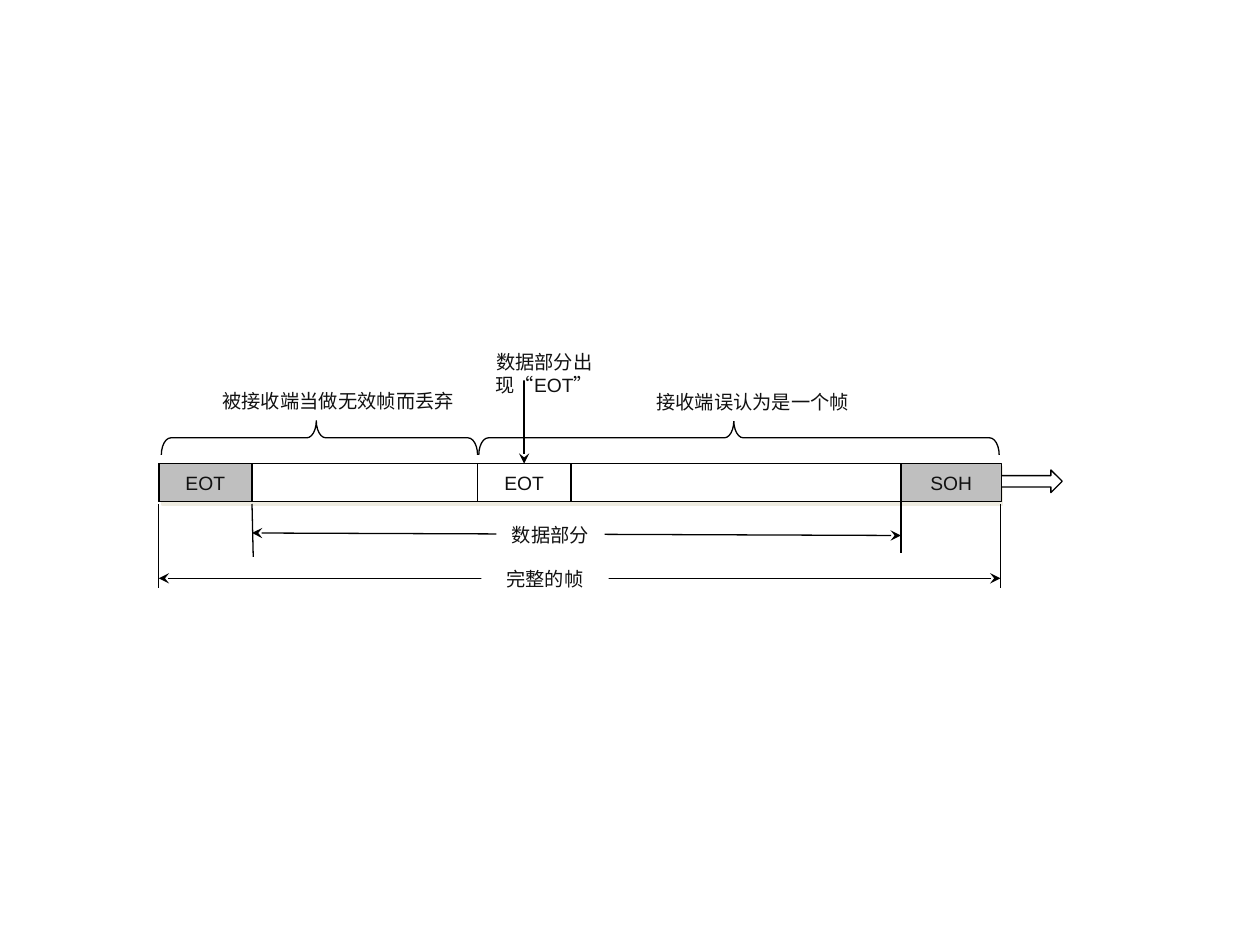
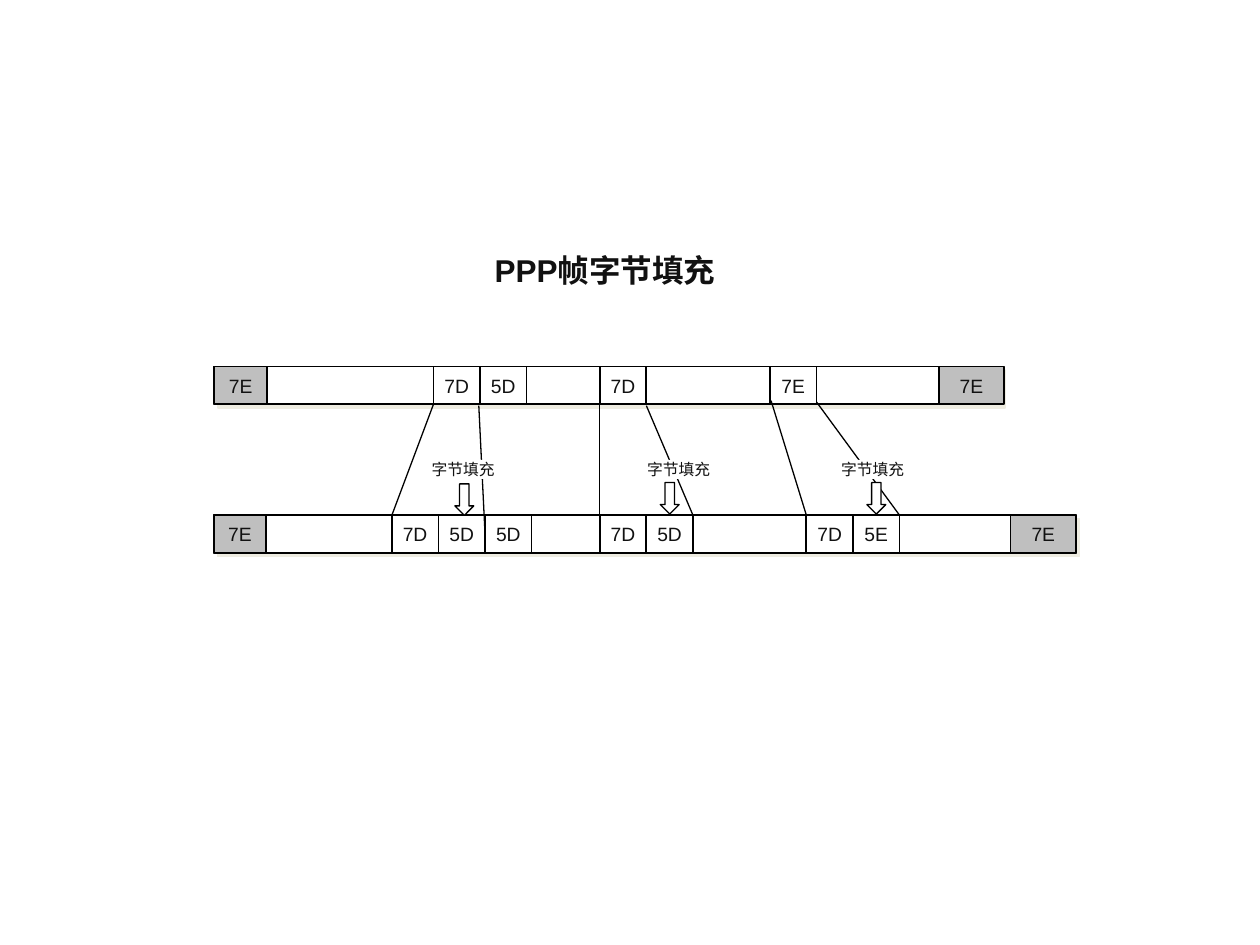
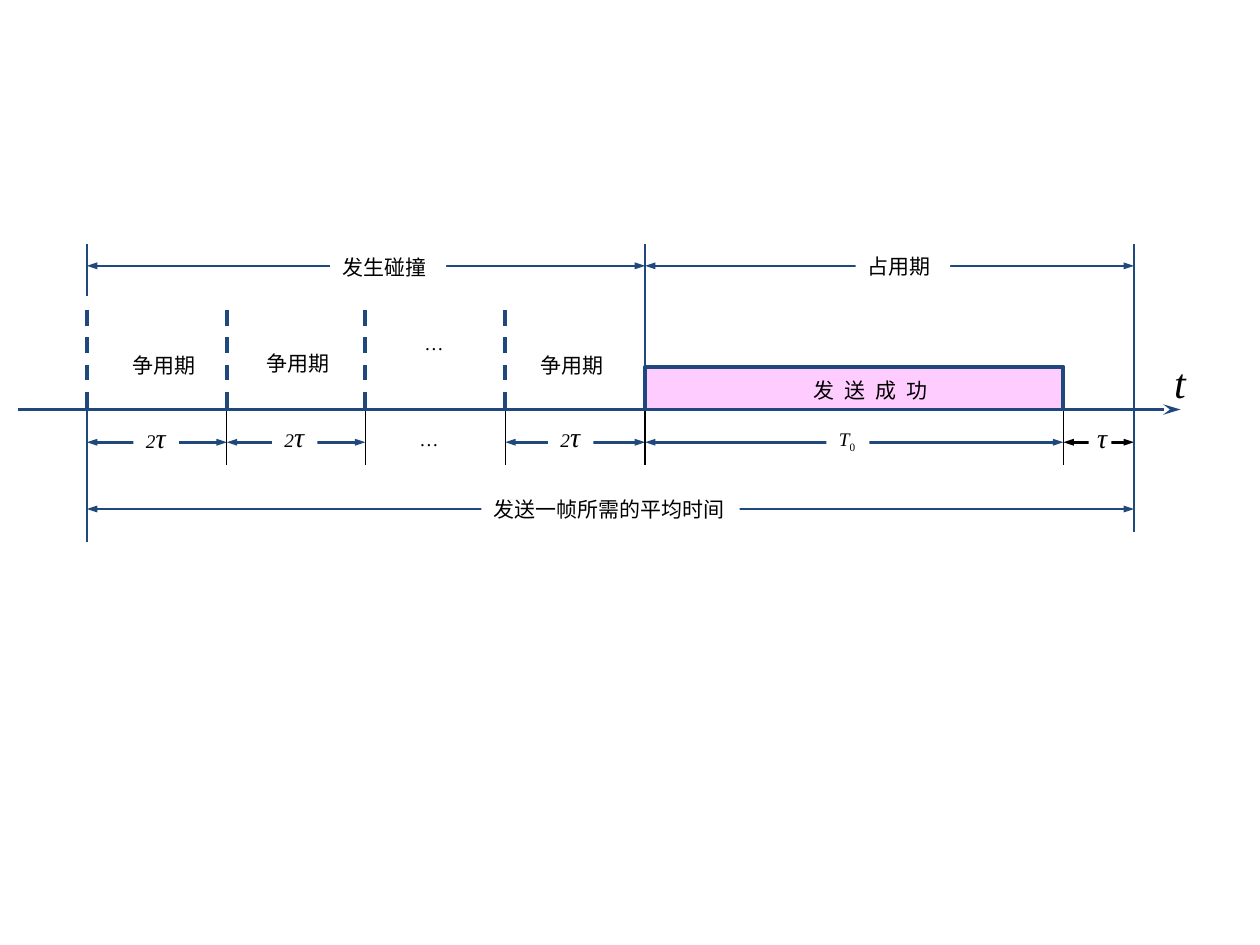
"""Build three diagrams: frame delimiting, PPP byte stuffing and the CSMA/CD channel timeline."""
from lxml import etree
from pptx import Presentation
from pptx.dml.color import RGBColor
from pptx.enum.dml import MSO_LINE
from pptx.enum.shapes import MSO_CONNECTOR, MSO_SHAPE
from pptx.enum.text import MSO_ANCHOR, MSO_AUTO_SIZE, PP_ALIGN
from pptx.oxml.ns import qn
from pptx.util import Inches, Pt

RECT = MSO_SHAPE.RECTANGLE
ARROW = MSO_SHAPE.RIGHT_ARROW
BRACE = MSO_SHAPE.LEFT_BRACE
STRAIGHT = MSO_CONNECTOR.STRAIGHT
DASH = MSO_LINE.DASH
TOP, MIDDLE = MSO_ANCHOR.TOP, MSO_ANCHOR.MIDDLE
LEFT, CENTER = PP_ALIGN.LEFT, PP_ALIGN.CENTER
GROW, FIXED = MSO_AUTO_SIZE.SHAPE_TO_FIT_TEXT, MSO_AUTO_SIZE.NONE

COLORS = {"white": "FFFFFF", "black": "000000", "ink": "111111", "flag": "BFBFBF",
          "shade": "EEECE1", "navy": "1F497D", "pink": "FFCCFF"}
SANS, SERIF = "Arial", "Times New Roman"
CELL_H = 0.3


def add_box(slide, at, text="", kind=RECT, fill="white", width=0, size=11, font=SANS, ink="ink",
            anchor=TOP, align=CENTER, wrap=True, shade=False, rotation=0):
    """Add a shape, a frame cell or a label."""
    box = slide.shapes.add_shape(kind, *[Inches(length) for length in at])
    box.shadow.inherit = False
    box.rotation = rotation
    if fill:
        box.fill.solid()
        box.fill.fore_color.rgb = RGBColor.from_string(COLORS[fill])
    else:
        box.fill.background()
    if width:
        box.line.color.rgb = RGBColor.from_string(COLORS["black"])
        box.line.width = Pt(width)
    else:
        box.line.fill.background()
    if shade:
        effects = box._element.spPr.find(qn("a:effectLst"))
        outer = etree.SubElement(effects, qn("a:outerShdw"), dist="35921", dir="2700000", algn="ctr",
                                 rotWithShape="0")
        etree.SubElement(outer, qn("a:srgbClr"), val=COLORS["shade"])
    if text:
        frame = box.text_frame
        frame.word_wrap = wrap
        frame.vertical_anchor = anchor
        frame.auto_size = GROW if anchor == TOP else FIXED
        paragraph = frame.paragraphs[0]
        paragraph.add_run().text = text
        paragraph.alignment = align
        paragraph.font.size = Pt(size)
        paragraph.font.name = font
        paragraph.font.color.rgb = RGBColor.from_string(COLORS[ink])
    return box


def add_line(slide, x1, y1, x2, y2, color="black", width=0.75, head=None, tail=None, w="med", length="med"):
    """Add a straight line with optional arrowheads."""
    line = slide.shapes.add_connector(STRAIGHT, Inches(x1), Inches(y1), Inches(x2), Inches(y2))
    line.line.color.rgb = RGBColor.from_string(COLORS[color])
    line.line.width = Pt(width)
    for end, style in (("a:headEnd", head), ("a:tailEnd", tail)):
        if style:
            etree.SubElement(line.line._get_or_add_ln(), qn(end), type=style, w=w, len=length)
    etree.SubElement(line._element.spPr, qn("a:effectLst"))
    return line


prs = Presentation()
prs.slide_width, prs.slide_height = Inches(10), Inches(7.5)
blank = prs.slide_layouts[6]
cell = dict(width=1, anchor=MIDDLE, wrap=False)

delimiting = prs.slides.add_slide(blank)
frame_top, frame_left, frame_right, data_left, data_right = 3.68, 1.26, 7.94, 2, 7.15
add_box(delimiting, (frame_left, frame_top, 6.67, CELL_H), width=1, shade=True)
for x1, y1, x2, y2 in ((data_right, 3.98, data_right, 4.39), (data_left, 4, 2.01, 4.42),
                       (frame_left, 4, frame_left, 4.67), (frame_right, 4, frame_right, 4.67)):
    add_line(delimiting, x1, y1, x2, y2)
add_line(delimiting, data_left, 4.23, data_right, 4.25, head="stealth", tail="stealth")
add_line(delimiting, frame_left, 4.59, frame_right, 4.59, head="stealth", tail="stealth")
add_box(delimiting, (frame_right, 3.73, 0.49, 0.18), kind=ARROW, width=0.75)
add_box(delimiting, (data_right, frame_top, 0.8, CELL_H), "SOH", fill="flag", **cell)
add_box(delimiting, (frame_left, frame_top, 0.74, CELL_H), "EOT", fill="flag", **cell)
inner_eot = add_box(delimiting, (3.79, frame_top, 0.74, CELL_H), "EOT", fill=None, **cell)
for at in ((5.73, 1.41, 0.27, 4.13), (2.4, 2.22, 0.27, 2.51)):
    brace = add_box(delimiting, at, kind=BRACE, fill=None, width=0.75, rotation=90)
    brace.adjustments[0], brace.adjustments[1] = 0.28, 0.51
for left, top, label_width, text in ((3.94, 4.1, 0.86, "数据部分"), (3.82, 4.45, 1.01, "完整的帧"),
                                     (5.04, 3.05, 1.87, "接收端误认为是一个帧"),
                                     (1.59, 3.04, 2.19, "被接收端当做无效帧而丢弃")):
    add_box(delimiting, (left, top, label_width, 0.29), text)
eot_pointer = add_line(delimiting, 4.16, 2.94, 4.16, frame_top, tail="stealth")
eot_pointer.end_connect(inner_eot, 0)
eot_note = add_box(delimiting, (3.42, 2.73, 1.8, 0.29), "数据部分出现“EOT”").text_frame
eot_note.auto_size = FIXED
eot_note.margin_left = eot_note.margin_right = Inches(0.46)

stuffing = prs.slides.add_slide(blank)
title = add_box(stuffing, (3.66, 1.94, 2.28, 0.4), "PPP帧字节填充", size=18)
title.text_frame.paragraphs[0].font.bold = True
byte_w = 0.37
frames = (
    (2.91, 6.25, ((7.45, 0.52, "7E"), (1.7, 0.42, "7E")),
     ((3.44, "7D"), (3.81, "5D"), (4.76, "7D"), (6.11, "7E"))),
    (4.09, 6.84, ((8.02, 0.52, "7E"), (1.7, 0.41, "7E")),
     ((3.11, "7D"), (3.48, "5D"), (3.85, "5D"), (4.76, "7D"), (5.13, "5D"), (6.4, "7D"), (6.77, "5E"))),
)
for top, frame_w, flags, data_bytes in frames:
    add_box(stuffing, (1.7, top, frame_w, CELL_H), width=1, shade=True)
    for left, flag_w, text in flags:
        add_box(stuffing, (left, top, flag_w, CELL_H), text, fill="flag", **cell)
    for left, text in data_bytes:
        add_box(stuffing, (left, top, byte_w, CELL_H), text, fill=None, **cell)
for x1, y1, x2, y2 in ((3.44, 3.21, 3.11, 4.09), (3.8, 3.22, 3.85, 4.25), (4.76, 3.21, 4.76, 4.08),
                       (5.13, 3.22, 5.5, 4.09), (6.12, 3.18, 6.4, 4.09), (6.48, 3.19, 7.14, 4.09)):
    add_line(stuffing, x1, y1, x2, y2)
for arrow_left, arrow_top, label_left in ((3.56, 3.89, 3.37), (5.19, 3.88, 5.08), (6.83, 3.88, 6.62)):
    add_box(stuffing, (arrow_left, arrow_top, 0.25, 0.15), kind=ARROW, width=0.75, rotation=90)
    label = add_box(stuffing, (label_left, 3.65, 0.61, 0.15), "字节填充", size=9).text_frame
    label.margin_left = label.margin_right = label.margin_top = label.margin_bottom = 0

timeline = prs.slides.add_slide(blank)
start, busy, sent, finish = 0.69, 5.12, 8.44, 9
slot = (busy - start) / 4
slots = [round(start + i * slot, 2) for i in range(5)]
axis_y, span_y, slot_y, total_y = 3.25, 2.11, 3.51, 4.04
serif = dict(font=SERIF, ink="black", align=LEFT, wrap=False)
spans = ((slots[3], busy, slot_y, "navy"), (start, finish, total_y, "navy"), (start, busy, span_y, "navy"),
         (busy, finish, span_y, "navy"), (sent, finish, slot_y, "black"), (busy, sent, slot_y, "navy"),
         (slots[1], slots[2], slot_y, "navy"), (start, slots[1], slot_y, "navy"))
for x1, x2, y, color in spans:
    add_line(timeline, x1, y, x2, y, color, 1.5, "triangle", "triangle", w="sm")
add_box(timeline, (8.64, 3.4, 0.18, 0.23))

outline = timeline.shapes.build_freeform(Inches(busy), Inches(axis_y))
outline.add_line_segments([(Inches(x), Inches(y)) for x, y in ((busy, 2.91), (sent, 2.91), (sent, axis_y))],
                          close=False)
success = outline.convert_to_shape()
success.shadow.inherit = False
success.fill.solid()
success.fill.fore_color.rgb = RGBColor.from_string(COLORS["pink"])
success.line.color.rgb = RGBColor.from_string(COLORS["navy"])
success.line.width = Pt(2.25)
success_label = add_box(timeline, (6.36, 2.95, 1.17, 0.3), "发 送 成 功", fill=None, size=12, **serif)
success_label.text_frame.paragraphs[0].runs[0].font._element.set("spc", "150")

for x in slots[:4]:
    add_line(timeline, x, 2.46, x, axis_y, "navy", 2.25).line.dash_style = DASH
for x in slots[1:] + [sent]:
    add_line(timeline, x, axis_y, x, 3.69)
for x, y1, y2 in ((start, axis_y, 4.3), (finish, axis_y, 4.22), (busy, 1.94, 3.03),
                  (finish, 1.94, axis_y), (start, 1.94, 2.35)):
    add_line(timeline, x, y1, x, y2, "navy", 1.25)

for left, top, label_w, text, fill in ((0.95, 2.75, 0.75, "争用期", None), (2.02, 2.73, 0.75, "争用期", None),
                                       (4.19, 2.75, 0.75, "争用期", None), (6.79, 1.96, 0.75, "占用期", "white"),
                                       (2.62, 1.97, 0.92, "发生碰撞", "white"),
                                       (3.82, 3.89, 2.05, "发送一帧所需的平均时间", "white")):
    add_box(timeline, (left, top, label_w, 0.3), text, fill=fill, size=12, **serif)
for left, top in ((3.27, 2.58), (3.23, 3.34)):
    add_box(timeline, (left, top, 0.36, 0.29), "…", fill=None, **serif)
for left, top in ((4.35, 3.28), (2.16, 3.28), (1.06, 3.29)):
    slot_length = add_box(timeline, (left, top, 0.36, 0.37), "2", **serif).text_frame.paragraphs[0]
    slot_length.font.italic = True
    tau = slot_length.add_run()
    tau.text = "τ"
    tau.font.size = Pt(16)
for at, text, size in (((8.61, 3.29, 0.3, 0.37), "τ", 16), ((9.22, 2.78, 0.29, 0.5), "t", 24)):
    symbol = add_box(timeline, at, text, fill=None, size=size, **serif)
    symbol.text_frame.paragraphs[0].font.italic = True
send_time = add_box(timeline, (6.56, 3.34, 0.34, 0.29), "T", **serif).text_frame.paragraphs[0]
send_time.runs[0].font.italic = True
subscript = send_time.add_run()
subscript.text = "0"
subscript.font._element.set("baseline", "-25000")
add_line(timeline, 0.14, axis_y, 9.37, axis_y, "navy", 2, tail="stealth", length="lg")

prs.save("out.pptx")
